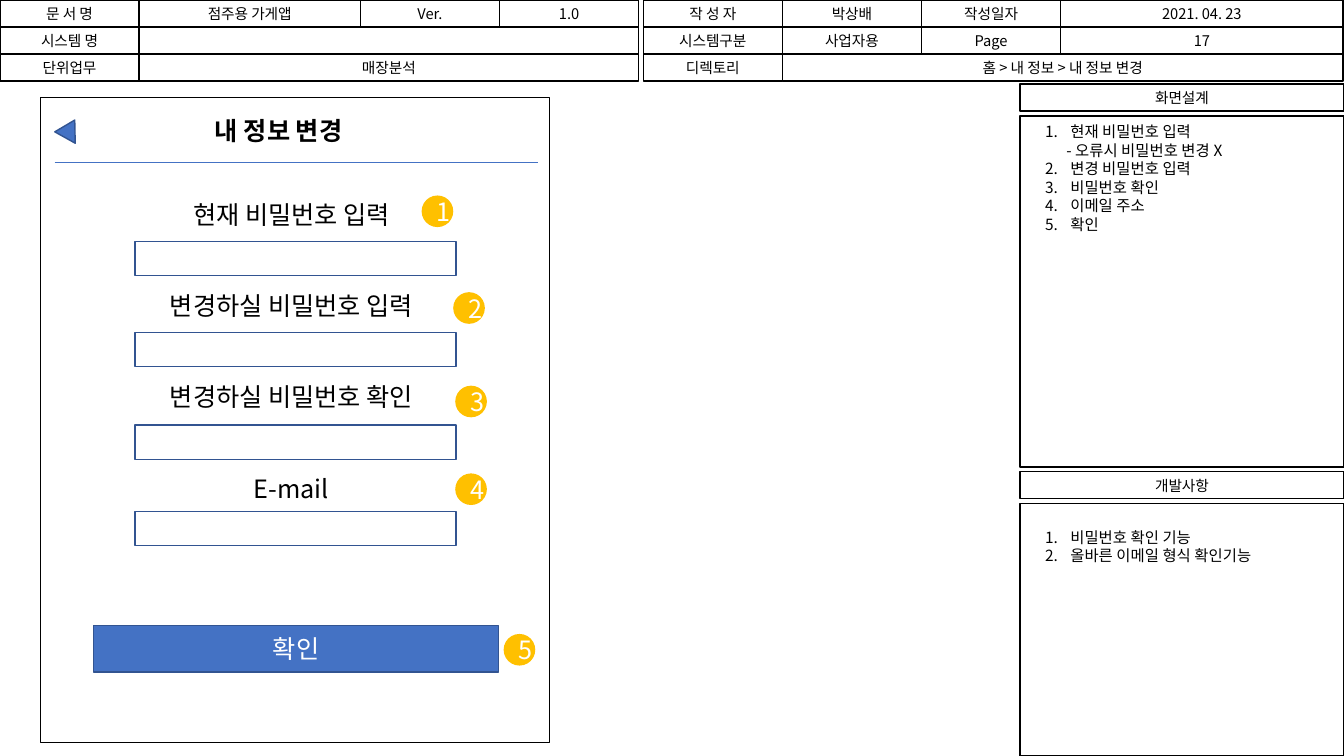
from lxml import etree
from pptx import Presentation
from pptx.dml.color import RGBColor
from pptx.enum.shapes import MSO_CONNECTOR, MSO_SHAPE as SHAPE
from pptx.enum.text import MSO_ANCHOR as ANCHOR, MSO_AUTO_SIZE as AUTO, PP_ALIGN as ALIGN
from pptx.oxml.ns import qn
from pptx.util import Inches, Pt

WIDTH, HEIGHT = 13.33, 7.5
PAGE = (0, 0, WIDTH, HEIGHT)
ROW, COLUMN, GAP = HEIGHT / 28, 1.38, 0.05
FONT = "Noto Sans CJK KR"
BLACK, WHITE, BLUE, NAVY, AMBER = "000000", "FFFFFF", "4472C4", "325491", "FFC000"


def color(hex_code):
    """Turn a hex string into a colour."""
    return RGBColor.from_string(hex_code)


def share(box, left, top, width, height):
    """Return a part of a box, given in percent of its sides."""
    x, y, w, h = box
    return (x + w * left / 100, y + h * top / 100, w * width / 100, h * height / 100)


def inches(box):
    """Convert the numbers of a box to lengths."""
    return [Inches(length) for length in box]


def write(paragraph, text, size, ink=BLACK, bold=False):
    """Add one formatted run to a paragraph."""
    run = paragraph.add_run()
    run.text = text
    run.font.size, run.font.bold, run.font.name = Pt(size), bold, FONT
    run.font.color.rgb = color(ink)
    etree.SubElement(run.font._element, qn("a:ea"), typeface=FONT)


def draw(slide, box, text="", fill=None, line=BLACK, size=10.5, ink=BLACK, kind=SHAPE.RECTANGLE):
    """Draw an outlined shape with optional centred text."""
    shape = slide.shapes.add_shape(kind, *inches(box))
    shape.shadow.inherit = False
    if fill:
        shape.fill.solid()
        shape.fill.fore_color.rgb = color(fill)
    else:
        shape.fill.background()
    shape.line.color.rgb = color(line)
    shape.line.width = Pt(1)
    if text:
        paragraph = shape.text_frame.paragraphs[0]
        paragraph.alignment = ALIGN.CENTER
        write(paragraph, text, size, ink)
    return shape


def text_area(slide, box):
    """Add a wrapping text box and return its frame."""
    frame = slide.shapes.add_textbox(*inches(box)).text_frame
    frame.word_wrap = True
    return frame


def header(slide, left, rows):
    """Lay out document facts as rows of (text, column span) cells."""
    for level, cells in enumerate(rows):
        start = 0
        for text, span in cells:
            draw(slide, (left + start * COLUMN, level * ROW, span * COLUMN, ROW), text)
            start += span


def note_panel(slide, box, heading, notes, drop):
    """Draw a heading bar above a box of numbered notes."""
    left, top, width, height = box
    body_top = top + ROW + GAP
    draw(slide, (left, top, width, ROW), heading)
    draw(slide, (left, body_top, width, height - ROW - GAP))
    frame = text_area(slide, (left + 0.15, body_top + drop, width - 0.15, len(notes) * 0.18 + 0.1))
    for index, (text, start) in enumerate(notes):
        paragraph = frame.paragraphs[0] if index == 0 else frame.add_paragraph()
        paragraph.line_spacing = Pt(13.3)
        properties = paragraph._p.get_or_add_pPr()
        if start:
            properties.set("marL", str(Inches(0.25)))
            properties.set("indent", str(-Inches(0.25)))
            numbering = etree.SubElement(properties, qn("a:buAutoNum"), type="arabicPeriod")
            if start > 1:
                numbering.set("startAt", str(start))
        else:
            properties.set("marL", str(Inches(0.21)))
            properties.set("indent", "0")
            etree.SubElement(properties, qn("a:buNone"))
        write(paragraph, text, 11)


def screen_title(slide, box, after, text):
    """Place the slide title above the given shape in the stack."""
    title = slide.shapes.title
    title.left, title.top, title.width, title.height = inches(box)
    after.element.addnext(title.element)
    frame = title.text_frame
    frame.auto_size, frame.word_wrap, frame.vertical_anchor = AUTO.NONE, True, ANCHOR.TOP
    paragraph = frame.paragraphs[0]
    paragraph.alignment = ALIGN.LEFT
    paragraph.line_spacing = Pt(21.7)
    write(paragraph, text, 18, bold=True)


def field_labels(slide, box, labels):
    """Write the evenly spaced labels of the input fields."""
    frame = text_area(slide, box)
    for index, label in enumerate(labels):
        paragraph = frame.add_paragraph() if index else frame.paragraphs[0]
        paragraph.alignment = ALIGN.CENTER
        paragraph.line_spacing = Pt(21.7)
        if index:
            paragraph.space_before = Pt(43.4)
        write(paragraph, label, 18)


def phone_screen(slide, box):
    """Draw the account edit screen with its numbered badges."""
    frame = draw(slide, box, fill=WHITE)
    screen_title(slide, share(box, 32.3, 2, 52, 6.3), frame, "내 정보 변경")

    x, y, length, _ = share(box, 2.8, 10, 95, 0)
    rule = slide.shapes.add_connector(MSO_CONNECTOR.STRAIGHT, *inches((x, y, x + length, y)))
    rule.line.color.rgb = color(BLUE)
    rule.line.width = Pt(0.5)
    etree.SubElement(rule.element.spPr, qn("a:effectLst"))

    field_labels(slide, share(box, 9.1, 15, 80.4, 53.6),
                 ["현재 비밀번호 입력", "변경하실 비밀번호 입력", "변경하실 비밀번호 확인", "E-mail"])
    for top in (22.3, 36.4, 50.8, 64.2):
        draw(slide, share(box, 18.6, top, 63, 5.3), fill=WHITE, line=NAVY)

    back = draw(slide, share(box, 3.5, 3.3, 4.6, 3.1), fill=BLUE, line=NAVY,
                kind=SHAPE.ISOSCELES_TRIANGLE)
    back.rotation = 29.1
    draw(slide, share(box, 10.5, 81.9, 79.4, 7.2), "확인", BLUE, NAVY, 18, WHITE)

    badges = [(75, 15.3), (81.2, 30.3), (81.6, 44.8), (81.6, 58.4), (91.1, 83.3)]
    for number, (left, top) in enumerate(badges, 1):
        x, y, _, _ = share(box, left, top, 0, 0)
        draw(slide, (x, y, 0.3, 0.3), str(number), AMBER, AMBER, 18, WHITE, SHAPE.OVAL)


def main():
    """Build and save the screen design slide."""
    deck = Presentation()
    deck.slide_width, deck.slide_height = Inches(WIDTH), Inches(HEIGHT)
    slide = deck.slides.add_slide(deck.slide_layouts[5])
    header(slide, 0, [
        [("문 서 명", 1), ("점주용 가게앱", 1.59), ("Ver.", 1), ("1.0", 1)],
        [("시스템 명", 1), ("", 3.59)],
        [("단위업무", 1), ("매장분석", 3.59)],
    ])
    header(slide, 6.38, [
        [("작 성 자", 1), ("박상배", 1), ("작성일자", 1), ("2021. 04. 23", 2.03)],
        [("시스템구분", 1), ("사업자용", 1), ("Page", 1), ("17", 2.03)],
        [("디렉토리", 1), ("홈 > 내 정보 > 내 정보 변경", 4.03)],
    ])
    note_panel(slide, share(PAGE, 75.9, 11.1, 24.1, 50.7), "화면설계", [
        ("현재 비밀번호 입력", 1), ("- 오류시 비밀번호 변경 X", 0), ("변경 비밀번호 입력", 2),
        ("비밀번호 확인", 2), ("이메일 주소", 2), ("확인", 2),
    ], 0.01)
    note_panel(slide, share(PAGE, 75.9, 62.4, 24.1, 37.6), "개발사항",
               [("비밀번호 확인 기능", 1), ("올바른 이메일 형식 확인기능", 1)], 0.19)
    phone_screen(slide, share(PAGE, 3, 12.9, 37.9, 85.3))
    deck.save("out.pptx")


if __name__ == "__main__":
    main()
